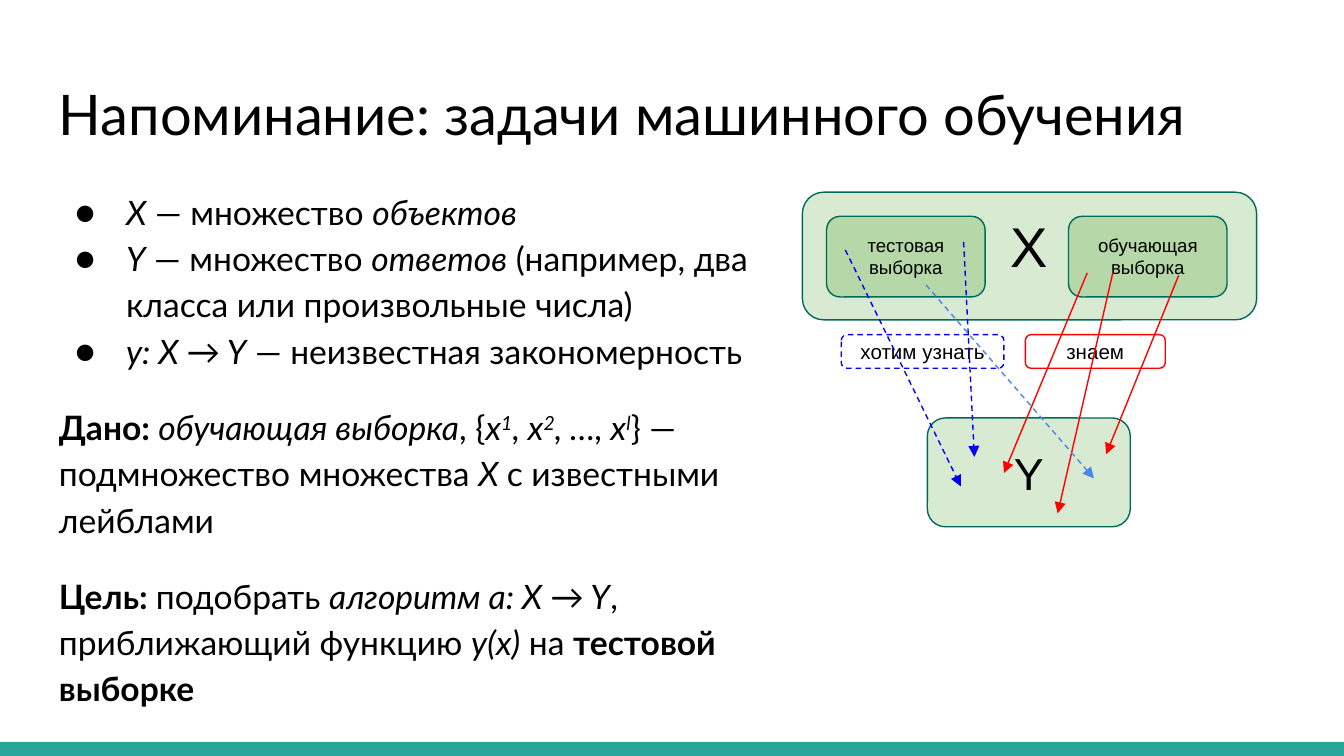
from dataclasses import dataclass

from lxml.etree import SubElement
from pptx import Presentation
from pptx.dml.color import RGBColor
from pptx.enum.dml import MSO_LINE
from pptx.enum.shapes import MSO_CONNECTOR, MSO_SHAPE
from pptx.enum.text import MSO_ANCHOR, PP_ALIGN
from pptx.oxml.ns import qn
from pptx.util import Inches, Pt


@dataclass(frozen=True)
class Theme:
    """Colours, fonts and type sizes of the slide."""
    black: str = "000000"
    bar: str = "26A69A"
    outline: str = "00695C"
    set_fill: str = "D9EAD3"
    sample_fill: str = "B6D7A8"
    known: str = "FF0000"
    wanted: str = "0000FF"
    wanted_light: str = "4A86E8"
    text_font: str = "Lato"
    diagram_font: str = "Arial"
    title: int = 30
    body: int = 18
    set_x: int = 30
    set_y: int = 24
    label: int = 11
    sample: int = 10
    line: float = 0.75


THEME = Theme()

BULLETS = [
    [("X", "i"), (" — множество ", ""), ("объектов", "i")],
    [("Y", "i"), (" — множество ", ""), ("ответов", "i"),
     (" (например, два класса или произвольные числа)", "")],
    [("y: X → Y", "i"), (" — неизвестная закономерность", "")],
]
STATEMENTS = [
    [("Дано: ", "b"), ("обучающая выборка", "i"), (", {", ""),
     ("x", "i"), ("1", "i^"), (", x", "i"), ("2", "i^"), (", …, x", "i"), ("l", "i^"),
     ("} — подмножество множества ", ""), ("X ", "i"), ("с известными лейблами", "")],
    [("Цель: ", "b"), ("подобрать ", ""), ("алгоритм a: X → Y", "i"),
     (", приближающий функцию ", ""), ("y(x)", "i"), (" на ", ""),
     ("тестовой выборке", "b")],
]


def color(value):
    """Return the colour for a hex value."""
    return RGBColor.from_string(value)


def set_font(font, name, size):
    """Give a font its name, size and the text colour."""
    font.name, font.size = name, Pt(size)
    font.color.rgb = color(THEME.black)


def set_margins(text_frame):
    """Wrap the text inside equal margins."""
    text_frame.word_wrap = True
    text_frame.margin_left = text_frame.margin_right = Inches(0.1)
    text_frame.margin_top = text_frame.margin_bottom = Inches(0.1)


def add_text_box(slide, box):
    """Add an empty text box and return its text frame."""
    text_frame = slide.shapes.add_textbox(*map(Inches, box)).text_frame
    set_margins(text_frame)
    return text_frame


def add_bar(slide, box):
    """Draw the coloured bar along the bottom edge."""
    bar = slide.shapes.add_shape(MSO_SHAPE.RECTANGLE, *map(Inches, box))
    bar.shadow.inherit = False
    bar.fill.solid()
    bar.fill.fore_color.rgb = color(THEME.bar)
    bar.line.fill.background()


def add_title(slide, box, text):
    """Write the slide title."""
    paragraph = add_text_box(slide, box).paragraphs[0]
    paragraph.text = text
    set_font(paragraph.runs[0].font, THEME.text_font, THEME.title)


def add_bullet(paragraph):
    """Give a paragraph a hanging round bullet."""
    properties = paragraph._p.get_or_add_pPr()
    properties.set("marL", str(Inches(0.5)))
    properties.set("indent", str(Inches(-0.38)))
    bullet_color = SubElement(properties, qn("a:buClr"))
    SubElement(bullet_color, qn("a:srgbClr"), val=THEME.black)
    SubElement(properties, qn("a:buSzPts"), val=str(THEME.body * 100))
    SubElement(properties, qn("a:buFont"), typeface=THEME.text_font)
    SubElement(properties, qn("a:buChar"), char="●")


def add_body(slide, box):
    """Write the bulleted definitions and the two statements below them."""
    text_frame = add_text_box(slide, box)
    for index, pieces in enumerate(BULLETS + STATEMENTS):
        paragraph = text_frame.add_paragraph() if index else text_frame.paragraphs[0]
        paragraph.line_spacing = 1.15
        is_bullet = index < len(BULLETS)
        paragraph.space_before = Pt(0 if is_bullet else 16)
        if is_bullet:
            add_bullet(paragraph)
        for text, style in pieces:
            run = paragraph.add_run()
            run.text = text
            set_font(run.font, THEME.text_font, THEME.body)
            run.font.bold = "b" in style
            run.font.italic = "i" in style
            if "^" in style:
                run.font._rPr.set("baseline", "30000")


def add_rounded_box(slide, box, text, size, fill=None, line=THEME.outline,
                    dashed=False, anchor=MSO_ANCHOR.MIDDLE):
    """Draw a rounded box with centred text."""
    shape = slide.shapes.add_shape(MSO_SHAPE.ROUNDED_RECTANGLE, *map(Inches, box))
    shape.shadow.inherit = False
    if fill:
        shape.fill.solid()
        shape.fill.fore_color.rgb = color(fill)
    else:
        shape.fill.background()
    shape.line.color.rgb = color(line)
    shape.line.width = Pt(THEME.line)
    if dashed:
        shape.line.dash_style = MSO_LINE.DASH
    text_frame = shape.text_frame
    set_margins(text_frame)
    text_frame.vertical_anchor = anchor
    text_frame.text = text
    paragraph = text_frame.paragraphs[0]
    paragraph.alignment = PP_ALIGN.CENTER
    set_font(paragraph.runs[0].font, THEME.diagram_font, size)


def add_arrow(slide, start, end, line, dashed):
    """Draw a straight arrow from start to end."""
    arrow = slide.shapes.add_connector(
        MSO_CONNECTOR.STRAIGHT, *map(Inches, (*start, *end)))
    arrow.line.color.rgb = color(line)
    arrow.line.width = Pt(THEME.line)
    if dashed:
        arrow.line.dash_style = MSO_LINE.DASH
    SubElement(arrow.line._get_or_add_ln(), qn("a:tailEnd"), type="triangle")
    SubElement(arrow._element.spPr, qn("a:effectLst"))


def add_mapping_diagram(slide, box):
    """Draw the sets X and Y, the two samples and the arrows between them."""
    left, top, width, _ = box

    def place(x, y, *size):
        return (left + x, top + y, *size)

    add_rounded_box(slide, place(0, 0, width, 0.95), "X", THEME.set_x,
                    THEME.set_fill, anchor=MSO_ANCHOR.TOP)
    add_rounded_box(slide, place(0.93, 1.68, 1.51, 0.81), "Y", THEME.set_y, THEME.set_fill)
    for x, text in ((0.18, "тестовая выборка"), (1.98, "обучающая выборка")):
        add_rounded_box(slide, place(x, 0.18, 1.18, 0.6), text, THEME.sample,
                        THEME.sample_fill, anchor=MSO_ANCHOR.TOP)
    add_rounded_box(slide, place(0.29, 1.06, 1.21, 0.25), "хотим узнать",
                    THEME.label, line=THEME.wanted, dashed=True)
    add_rounded_box(slide, place(1.66, 1.06, 1.04, 0.25), "знаем",
                    THEME.label, line=THEME.known)
    arrows = [
        ((2.12, 0.6), (1.5, 2.09), THEME.known),
        ((2.31, 0.6), (1.9, 2.39), THEME.known),
        ((2.8, 0.62), (2.26, 1.95), THEME.known),
        ((0.32, 0.43), (1.18, 2.19), THEME.wanted),
        ((1.2, 0.37), (1.28, 1.97), THEME.wanted),
        ((0.92, 0.69), (2.17, 2.13), THEME.wanted_light),
    ]
    for start, end, line in arrows:
        add_arrow(slide, place(*start), place(*end), line, line != THEME.known)


def main():
    """Build the slide and save it."""
    presentation = Presentation()
    presentation.slide_width = Inches(10)
    presentation.slide_height = Inches(10) * 9 // 16
    slide = presentation.slides.add_slide(presentation.slide_layouts[6])
    add_bar(slide, (0, 5.52, 10, 0.11))
    add_title(slide, (0.34, 0.49, 9.32, 0.67), "Напоминание: задачи машинного обучения")
    add_body(slide, (0.34, 1.28, 5.4, 3.72))
    add_mapping_diagram(slide, (5.97, 1.43, 3.38, 2.49))
    presentation.save("out.pptx")


if __name__ == "__main__":
    main()
